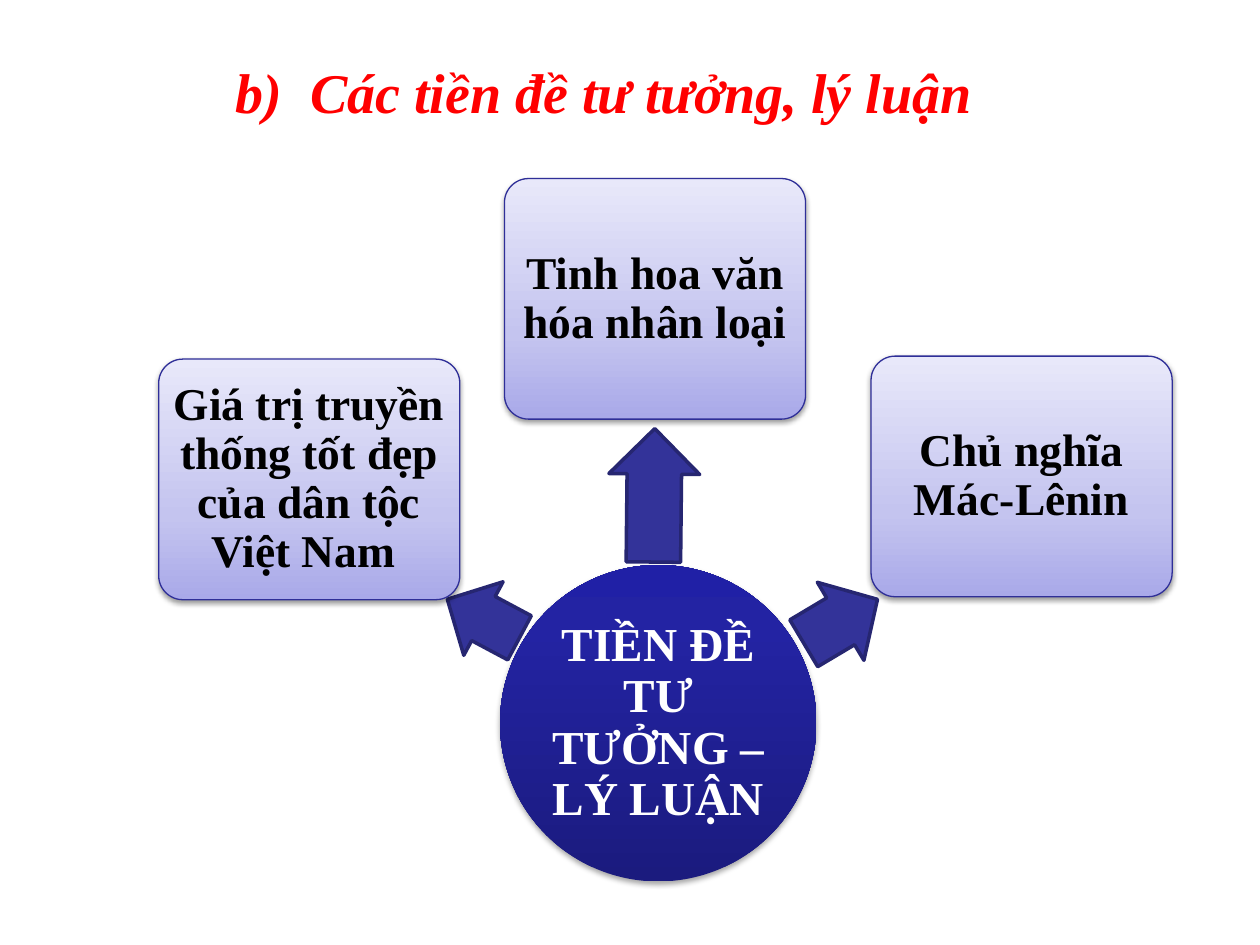
from copy import deepcopy
from dataclasses import dataclass

from lxml import etree
from pptx import Presentation
from pptx.dml.color import RGBColor
from pptx.enum.shapes import MSO_SHAPE
from pptx.enum.text import MSO_ANCHOR, MSO_AUTO_SIZE, PP_ALIGN
from pptx.oxml.ns import qn
from pptx.util import Cm, Pt

CIRCLE = MSO_SHAPE.OVAL
CARD = MSO_SHAPE.ROUNDED_RECTANGLE
ARROW = MSO_SHAPE.LEFT_ARROW
MIDDLE = MSO_ANCHOR.MIDDLE
BOTTOM = MSO_ANCHOR.BOTTOM
CENTER = PP_ALIGN.CENTER
NO_AUTOFIT = MSO_AUTO_SIZE.NONE
TITLE_ONLY = 5


@dataclass(frozen=True)
class Theme:
    font: str = "Times New Roman"
    title_size: int = 32
    hub_size: int = 27
    card_size: int = 26
    title: str = "FF0000"
    hub_text: str = "FFFFFF"
    card_text: str = "000000"
    # Gradient stops run from bottom to top: (position, colour)
    hub_fill: tuple = ((0, "1B1B7E"), (0.8, "2323A3"), (1, "2020A6"))
    card_fill: tuple = ((0, "A9A9E9"), (0.35, "C4C4EF"), (1, "E8E8FA"))
    card_line: str = "2F2F98"
    arrow_fill: str = "333399"
    arrow_line: str = "262671"
    shadow: str = "000000"


THEME = Theme()
CARD_SIZE = (6.07, 4.85)

# Each premise: text, card corner, arrow frame and arrow rotation (cm, degrees)
PREMISES = [
    ("Giá trị truyền thống tốt đẹp của dân tộc Việt Nam ",
     (3.2, 7.24), (8.92, 11.63, 1.65, 1.68), 28.1),
    ("Tinh hoa văn hóa nhân loại",
     (10.17, 3.6), (11.84, 9.07, 2.69, 1.83), 90.6),
    ("Chủ nghĩa Mác-Lênin",
     (17.56, 7.18), (16.08, 11.61, 1.73, 1.83), 149.2),
]


def color(value):
    return RGBColor.from_string(value)


def add_shape(page, kind, frame):
    shape = page.shapes.add_shape(kind, *map(Cm, frame))
    shape.shadow.inherit = False
    return shape


def set_outline(shape, value, width):
    shape.line.color.rgb = color(value)
    shape.line.width = Pt(width)


def set_gradient(shape, stops):
    shape.fill.gradient()
    shape.fill.gradient_angle = 90
    stop_list = shape.element.spPr.find(".//" + qn("a:gsLst"))
    stop_list.append(deepcopy(stop_list[-1]))
    for stop, (position, value) in zip(shape.fill.gradient_stops, stops):
        stop.position = position
        stop.color.rgb = color(value)


def add_shadow(shape, opacity, distance):
    effects = shape.element.spPr.find(qn("a:effectLst"))
    outer = etree.SubElement(
        effects, qn("a:outerShdw"), blurRad=str(Pt(3.1)),
        dist=str(Pt(distance)), dir="5400000", rotWithShape="0")
    tint = etree.SubElement(outer, qn("a:srgbClr"), val=THEME.shadow)
    etree.SubElement(tint, qn("a:alpha"), val=str(opacity * 1000))


def write_text(shape, text, size, value, italic=False):
    frame = shape.text_frame
    frame.word_wrap = True
    frame.auto_size = NO_AUTOFIT
    para = frame.paragraphs[0]
    para.alignment = CENTER
    span = para.add_run()
    span.text = text
    font = span.font
    font.name, font.size = THEME.font, Pt(size)
    font.bold, font.italic = True, italic
    font.color.rgb = color(value)
    return frame


def write_label(shape, text, size, value, inset):
    frame = write_text(shape, text, size, value)
    frame.vertical_anchor = MIDDLE
    frame.margin_left = frame.margin_right = Cm(inset)
    frame.margin_top = frame.margin_bottom = Cm(inset)
    frame.paragraphs[0].line_spacing = 0.9


def set_title(page, text):
    title = page.shapes.title
    title.left, title.top = Cm(1.07), Cm(1.07)
    title.width, title.height = Cm(22.22), Cm(1.57)
    frame = write_text(title, text, THEME.title_size, THEME.title, italic=True)
    frame.vertical_anchor = BOTTOM


def add_hub(page, text):
    hub = add_shape(page, CIRCLE, (10.08, 11.39, 6.38, 6.38))
    set_gradient(hub, THEME.hub_fill)
    hub.line.fill.background()
    add_shadow(hub, 35, 1.8)
    write_label(hub, text, THEME.hub_size, THEME.hub_text, 0.05)


def add_arrow(page, frame, rotation):
    arrow = add_shape(page, ARROW, frame)
    arrow.adjustments[0] = 0.6
    arrow.adjustments[1] = 0.5
    arrow.rotation = rotation
    arrow.fill.solid()
    arrow.fill.fore_color.rgb = color(THEME.arrow_fill)
    set_outline(arrow, THEME.arrow_line, 2)


def add_card(page, corner, text):
    card = add_shape(page, CARD, corner + CARD_SIZE)
    card.adjustments[0] = 0.1
    set_gradient(card, THEME.card_fill)
    set_outline(card, THEME.card_line, 0.75)
    add_shadow(card, 38, 1.6)
    write_label(card, text, THEME.card_size, THEME.card_text, 0.13)


def main():
    deck = Presentation()
    deck.slide_width, deck.slide_height = Cm(25.4), Cm(19.05)
    page = deck.slides.add_slide(deck.slide_layouts[TITLE_ONLY])

    # Heading
    set_title(page, "b)  Các tiền đề tư tưởng, lý luận")

    # Central circle with an arrow out to each premise
    add_hub(page, "TIỀN ĐỀ TƯ TƯỞNG – LÝ LUẬN")
    for text, corner, arrow_frame, rotation in PREMISES:
        add_arrow(page, arrow_frame, rotation)
        add_card(page, corner, text)

    deck.save("out.pptx")


if __name__ == "__main__":
    main()
